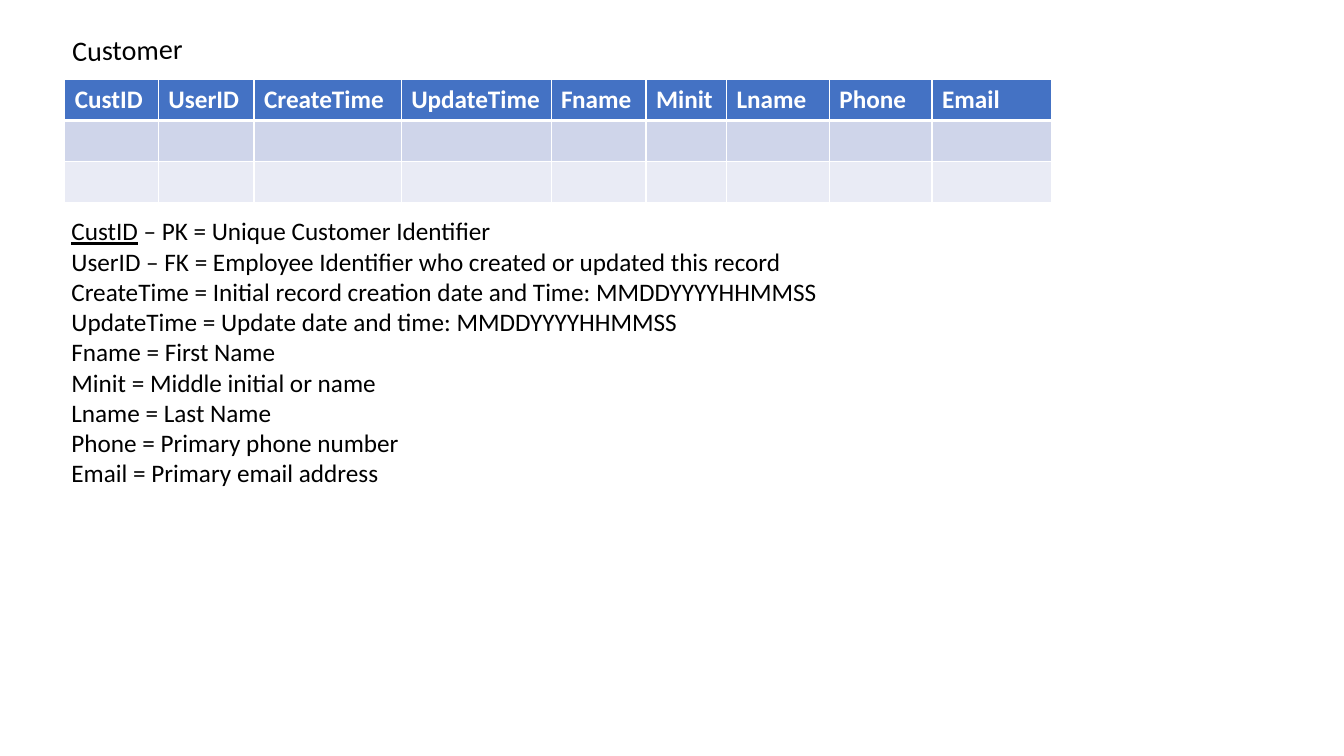
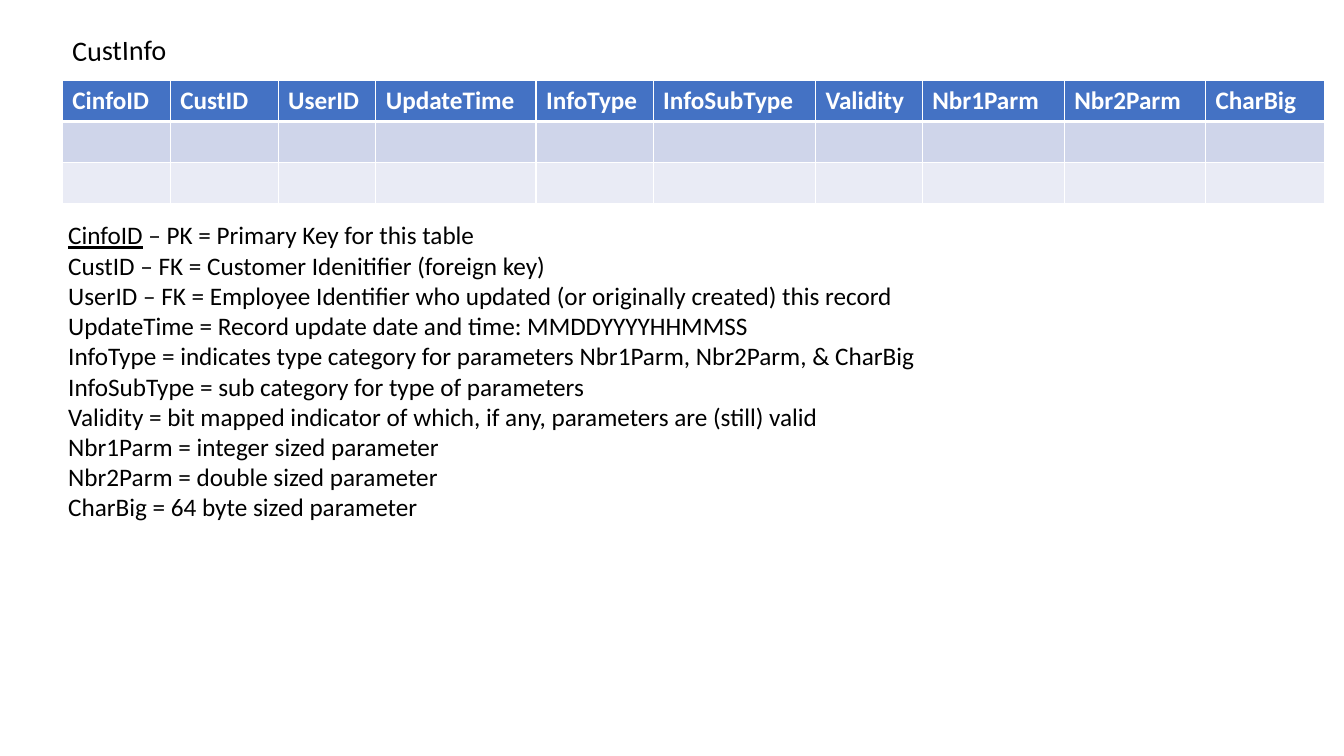
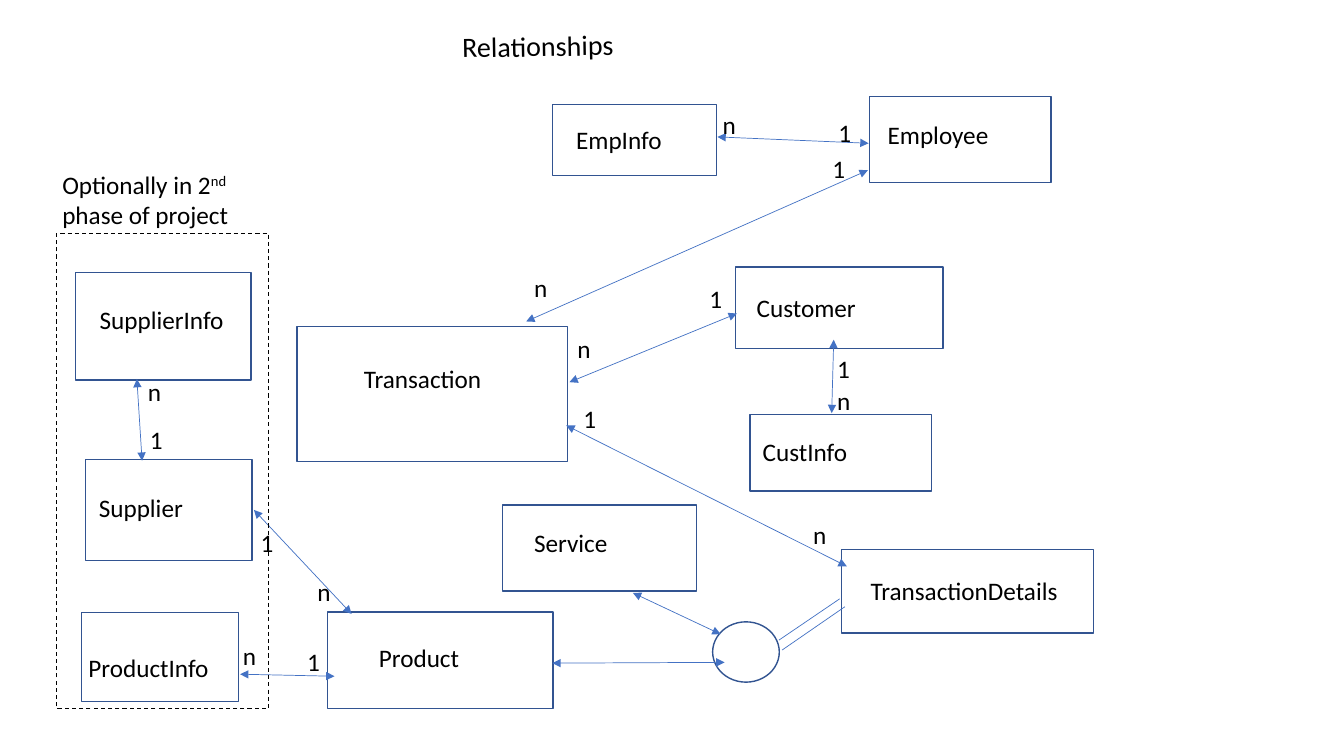
from dataclasses import dataclass

from pptx import Presentation
from pptx.dml.color import RGBColor
from pptx.enum.dml import MSO_LINE
from pptx.enum.shapes import MSO_CONNECTOR, MSO_SHAPE
from pptx.enum.text import MSO_AUTO_SIZE
from pptx.oxml.ns import qn
from pptx.util import Cm, Pt
from lxml.etree import SubElement


@dataclass(frozen=True)
class Theme:
    font: str = "Calibri"
    title_size: int = 20
    body_size: int = 18
    ink: str = "000000"
    paper: str = "FFFFFF"
    header: str = "4472C4"
    bands: tuple = ("CFD5EA", "E9EBF5")
    outline: str = "325491"
    link: str = "4472C4"
    row_height: float = 1.03
    label_height: float = 1.03
    count_width: float = 0.9


THEME = Theme()

# Content: lengths in centimetres; boxes are left, top, width, height
# Each field is name, column width, meaning; the first field is the key
ENTITIES = [
    {
        "title": "Customer",
        "table_at": (1.63, 2.01),
        "meanings_at": (1.55, 5.31, 24.59, 7.19),
        "fields": [
            ("CustID", 2.36, " – PK = Unique Customer Identifier"),
            ("UserID", 2.41, " – FK = Employee Identifier who created or updated this record"),
            ("CreateTime", 3.71, " = Initial record creation date and Time: MMDDYYYYHHMMSS"),
            ("UpdateTime", 3.78, " = Update date and time: MMDDYYYYHHMMSS"),
            ("Fname", 2.39, " = First Name"),
            ("Minit", 2.03, " = Middle initial or name"),
            ("Lname", 2.59, " = Last Name"),
            ("Phone", 2.59, " = Primary phone number"),
            ("Email", 3.02, " = Primary email address"),
        ],
    },
    {
        "title": "CustInfo",
        "table_at": (1.57, 2.03),
        "meanings_at": (1.47, 5.41, 23.47, 7.95),
        "fields": [
            ("CinfoID", 2.72, " – PK = Primary Key for this table"),
            ("CustID", 2.72, " – FK = Customer Idenitifier (foreign key)"),
            ("UserID", 2.46, " – FK = Employee Identifier who updated (or originally created) this record"),
            ("UpdateTime", 4.04, " = Record update date and time: MMDDYYYYHHMMSS"),
            ("InfoType", 2.95, " = indicates type category for parameters Nbr1Parm, Nbr2Parm, & CharBig"),
            ("InfoSubType", 4.09, " = sub category for type of parameters"),
            ("Validity", 2.69, " = bit mapped indicator of which, if any, parameters are (still) valid"),
            ("Nbr1Parm", 3.58, " = integer sized parameter"),
            ("Nbr2Parm", 3.56, " = double sized parameter"),
            ("CharBig", 3.0, " = 64 byte sized parameter"),
        ],
    },
]
ENTITY_TITLE_AT = (1.57, 0.69, 3.56, 1.12)
RELATIONS_TITLE = "Relationships"
RELATIONS_TITLE_AT = (11.4, 0.58, 6.27, 1.12)

# Name, box, label left, top and width
BOXES = [
    ("EmpInfo", (13.92, 2.64, 4.14, 1.78), (14.27, 3.02, 3.1)),
    ("Employee", (21.92, 2.44, 4.57, 2.16), (22.12, 2.87, 3.68)),
    ("Customer", (18.54, 6.73, 5.23, 2.06), (18.82, 7.24, 3.3)),
    ("CustInfo", (18.9, 10.44, 4.57, 1.93), (18.97, 10.87, 2.92)),
    ("TransactionDetails", (21.21, 13.84, 6.35, 2.11), (21.69, 14.38, 5.54)),
    ("Transaction", (7.49, 8.23, 6.81, 3.4), (8.92, 9.02, 3.94)),
    ("Product", (8.25, 15.42, 5.69, 2.44), (9.3, 16.05, 2.9)),
    ("Service", (12.67, 12.73, 4.88, 2.16), (13.21, 13.16, 2.74)),
    ("ProductInfo", (2.06, 15.44, 3.96, 2.24), (1.98, 16.31, 3.99)),
    ("Supplier", (2.16, 11.58, 4.19, 2.54), (2.24, 12.27, 3.23)),
    ("SupplierInfo", (1.91, 6.86, 4.42, 2.72), (2.26, 7.54, 4.47)),
]
JUNCTION = (17.96, 15.67, 1.68, 1.52)

# Start, end, then each count with its place
RELATIONS = [
    ((18.08, 3.45), (21.89, 3.61), [("n", 17.96, 2.64), ("1", 20.88, 2.82)]),
    ((21.01, 8.56), (20.96, 10.41), [("1", 20.85, 8.79), ("n", 20.85, 9.58)]),
    ((13.26, 8.1), (21.87, 4.29), [("n", 13.21, 6.73), ("1", 20.73, 3.73)]),
    ((14.35, 9.63), (18.57, 7.9), [("n", 14.3, 8.28), ("1", 17.63, 7.01)]),
    ((14.27, 10.72), (21.34, 14.27), [("1", 14.45, 10.03), ("n", 20.24, 12.95)]),
    ((15.95, 14.94), (18.16, 15.98), []),
    ((13.92, 16.71), (18.26, 16.69), []),
    ((6.05, 16.99), (8.43, 17.04), [("n", 5.87, 16.0), ("1", 7.49, 16.15)]),
    ((6.4, 12.85), (8.86, 15.47), [("1", 6.32, 13.16), ("n", 7.75, 14.4)]),
    ((3.45, 9.55), (3.58, 11.61), [("n", 3.48, 9.37), ("1", 3.53, 10.57)]),
]
DOUBLE_LINE = [
    ((19.63, 16.13), (21.16, 15.09)),
    ((19.71, 16.38), (21.29, 15.29)),
]
PHASE_FRAME = (1.42, 5.89, 5.36, 11.96)
PHASE_NOTE_AT = (1.32, 4.14, 5.23, 1.8)
PHASE_NOTE = [("Optionally in 2", {}), ("nd", {"raised": True}), (" phase of project", {})]


def rgb(value):
    return RGBColor.from_string(value)


def lengths(values):
    return [Cm(value) for value in values]


def write(frame, *paragraphs, size=THEME.body_size, color=THEME.ink, bold=False):
    """Each paragraph is a string or a list of (text, format) runs."""
    for index, paragraph in enumerate(paragraphs):
        line = frame.paragraphs[0] if index == 0 else frame.add_paragraph()
        runs = [(paragraph, {})] if isinstance(paragraph, str) else paragraph
        for text, style in runs:
            run = line.add_run()
            run.text = text
            run.font.name = THEME.font
            run.font.size = Pt(size)
            run.font.bold = bold
            run.font.color.rgb = rgb(color)
            if style.get("underline"):
                run.font.underline = True
            if style.get("raised"):
                run._r.get_or_add_rPr().set("baseline", "30000")


def add_text(slide, at, *paragraphs, rotation=0, **style):
    box = slide.shapes.add_textbox(*lengths(at))
    box.rotation = rotation
    box.text_frame.word_wrap = True
    box.text_frame.auto_size = MSO_AUTO_SIZE.SHAPE_TO_FIT_TEXT
    write(box.text_frame, *paragraphs, **style)


def add_title(slide, title, at):
    add_text(slide, at, title, rotation=359, size=THEME.title_size)


def add_box(slide, at, preset=MSO_SHAPE.RECTANGLE, fill=THEME.paper,
            line=THEME.outline, width=1, dash=None):
    box = slide.shapes.add_shape(preset, *lengths(at))
    box.shadow.inherit = False
    if fill:
        box.fill.solid()
        box.fill.fore_color.rgb = rgb(fill)
    else:
        box.fill.background()
    box.line.color.rgb = rgb(line)
    box.line.width = Pt(width)
    if dash:
        box.line.dash_style = dash


def add_link(slide, start, end, arrows=True):
    link = slide.shapes.add_connector(MSO_CONNECTOR.STRAIGHT, *lengths(start + end))
    link.line.color.rgb = rgb(THEME.link)
    link.line.width = Pt(0.5)
    if arrows:
        for tip in ("a:headEnd", "a:tailEnd"):
            SubElement(link.line._ln, qn(tip), type="triangle")
    SubElement(link._element.spPr, qn("a:effectLst"))


def style_cell(cell, fill, top, bottom):
    properties = cell._tc.get_or_add_tcPr()
    for side, width in (("a:lnL", 1), ("a:lnR", 1), ("a:lnT", top), ("a:lnB", bottom)):
        border = SubElement(properties, qn(side), w=str(Pt(width)))
        solid = SubElement(border, qn("a:solidFill"))
        SubElement(solid, qn("a:srgbClr"), val=THEME.paper)
    cell.fill.solid()
    cell.fill.fore_color.rgb = rgb(fill)


def add_field_table(slide, at, fields):
    fills = (THEME.header, *THEME.bands)
    size = (sum(width for _, width, _ in fields), THEME.row_height * len(fills))
    table = slide.shapes.add_table(len(fills), len(fields), *lengths(at + size)).table
    for row, fill in enumerate(fills):
        table.rows[row].height = Cm(THEME.row_height)
        for column in range(len(fields)):
            style_cell(table.cell(row, column), fill,
                       top=3 if row == 1 else 1, bottom=3 if row == 0 else 1)
    for column, (name, width, _) in enumerate(fields):
        table.columns[column].width = Cm(width)
        write(table.cell(0, column).text_frame, name, color=THEME.paper, bold=True)


deck = Presentation()
deck.slide_width, deck.slide_height = Cm(33.87), Cm(19.05)
blank = deck.slide_layouts[6]

# Entity slides: title, field table, meanings
for entity in ENTITIES:
    slide = deck.slides.add_slide(blank)
    add_title(slide, entity["title"], ENTITY_TITLE_AT)
    meanings = [[(name, {"underline": True}), (meaning, {})] if index == 0 else name + meaning
                for index, (name, _, meaning) in enumerate(entity["fields"])]
    add_text(slide, entity["meanings_at"], *meanings)
    add_field_table(slide, entity["table_at"], entity["fields"])

# Relationship diagram: boxes, links, then labels
slide = deck.slides.add_slide(blank)
add_title(slide, RELATIONS_TITLE, RELATIONS_TITLE_AT)
for _, box_at, _ in BOXES:
    add_box(slide, box_at)
add_box(slide, JUNCTION, preset=MSO_SHAPE.OVAL)
for start, end in DOUBLE_LINE:
    add_link(slide, start, end, arrows=False)
for start, end, _ in RELATIONS:
    add_link(slide, start, end)
for name, _, label_at in BOXES:
    add_text(slide, (*label_at, THEME.label_height), name)
for _, _, counts in RELATIONS:
    for count, left, top in counts:
        add_text(slide, (left, top, THEME.count_width, THEME.label_height), count)

# Second-phase frame and note
add_box(slide, PHASE_FRAME, fill=None, line=THEME.ink, width=0.75, dash=MSO_LINE.DASH)
add_text(slide, PHASE_NOTE_AT, PHASE_NOTE)

deck.save("out.pptx")
